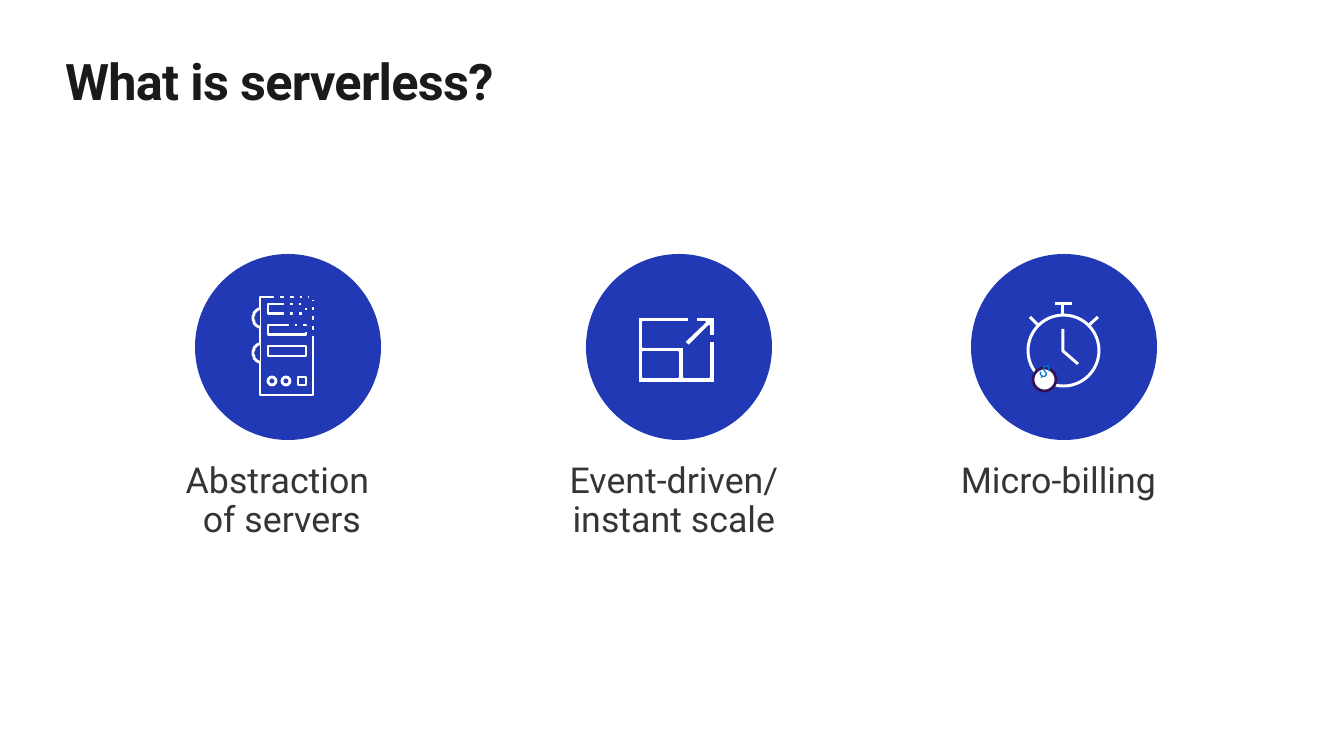
from dataclasses import dataclass
from math import cos, pi, sin

from lxml.etree import SubElement
from pptx import Presentation
from pptx.dml.color import RGBColor
from pptx.enum.shapes import MSO_CONNECTOR, MSO_SHAPE
from pptx.enum.text import MSO_ANCHOR, MSO_AUTO_SIZE, PP_ALIGN
from pptx.oxml.ns import qn
from pptx.util import Emu, Pt

TITLE = "What is serverless?"
TITLE_BOX = (65, 50, 1215, 61)
LABELS = [
    ("Event-driven/ instant scale", (532, 447, 294, 112)),
    ("Micro-billing", (928, 447, 271, 73)),
    ("Abstraction \vof servers", (145, 447, 284, 112)),
]

CIRCLE_TOP, CIRCLE_SIZE = 254, 186
BILLING_LEFT, SCALE_LEFT, SERVER_LEFT = 971, 586, 195

CLOCK_FACE = (1028, 315, 71, 71)
CLOCK_HANDS = [(1063, 329), (1063, 351), (1078, 364)]
CLOCK_LINES = [
    (1055, 304, 1072, 304),
    (1063, 315, 1063, 304),
    (1098, 317, 1088, 326),
    (1030, 317, 1039, 326),
]
COIN = (1033, 368, 23, 23)
DOLLAR_BOX = (1020, 347, 49, 49)

FRAME = [(709, 377), (684, 377), (684, 347), (643, 347), (643, 322), (689, 322),
         (689, 317), (638, 317), (638, 383), (715, 383), (715, 341), (709, 341)]
FRAME_HOLE = [(643, 352), (678, 352), (678, 377), (643, 377)]
ARROW = [(696, 322), (705, 322), (684, 342), (689, 346), (709, 326),
         (709, 336), (715, 336), (715, 317), (696, 317)]

SERVER_BODY = (260, 297, 53, 98)
SLOT_LEFT, SLOT_TOP, SLOT_STEP, SLOT_WIDTH, SLOT_HEIGHT = 268, 304, 21, 38, 10
EAR_MIDDLES = (318, 353)
EAR_WIDTH, EAR_HALF_HEIGHT, EAR_STEPS = 7, 9, 16
BUTTON_TOP, BUTTON_SIZE = 377, 8
BUTTONS = [(268, MSO_SHAPE.OVAL), (282, MSO_SHAPE.OVAL), (298, MSO_SHAPE.RECTANGLE)]
GAP_SIZE = 6
GAPS = [(274, 294), (294, 294), (302, 293), (309, 294), (301, 302), (293, 300),
        (302, 310), (284, 293), (311, 301), (311, 310), (310, 320), (310, 330),
        (293, 311), (297, 323), (302, 326), (289, 323), (284, 300), (284, 312)]


@dataclass(frozen=True)
class Theme:
    font: str = "Roboto"
    blue: str = "2139B5"
    white: str = "FFFFFF"
    purple: str = "32145A"
    sky: str = "0078D7"
    title: str = "1A1A1A"
    body: str = "353535"
    title_size: float = 36
    label_size: float = 25.5
    dollar_size: float = 11.8
    clock_line: float = 2.13
    server_line: float = 2
    frame_line: float = 1.25


THEME = Theme()
SCALE = 914400 / 100.8


def px(length):
    return Emu(round(length * SCALE))


def box_of(box):
    return [px(length) for length in box]


def paint(shape, fill=None, line=None, width=0):
    shape.shadow.inherit = False
    if fill:
        shape.fill.solid()
        shape.fill.fore_color.rgb = RGBColor.from_string(fill)
    else:
        shape.fill.background()
    if line:
        shape.line.color.rgb = RGBColor.from_string(line)
        shape.line.width = Pt(width)
    else:
        shape.line.fill.background()


def add_preset(shapes, kind, box, **style):
    shape = shapes.add_shape(kind, *box_of(box))
    paint(shape, **style)


def add_outline(shapes, contours, close=True, **style):
    builder = shapes.build_freeform(*contours[0][0], scale=SCALE)
    for index, points in enumerate(contours):
        if index:
            builder.move_to(*points[0])
        builder.add_line_segments(points[1:], close=close)
    paint(builder.convert_to_shape(), **style)


def add_line(shapes, ends, color, width):
    connector = shapes.add_connector(MSO_CONNECTOR.STRAIGHT, *box_of(ends))
    connector.line.color.rgb = RGBColor.from_string(color)
    connector.line.width = Pt(width)
    SubElement(connector._element.spPr, qn("a:effectLst"))


def write_text(shape, text, size, color, align=PP_ALIGN.LEFT, bold=False,
               insets=(0, 0, 0, 0), line_spacing=1.0, space_after=0, spacing=None, wrap=True):
    frame = shape.text_frame
    frame.word_wrap = wrap
    frame.auto_size = MSO_AUTO_SIZE.NONE
    frame.vertical_anchor = MSO_ANCHOR.TOP
    frame.margin_left, frame.margin_top, frame.margin_right, frame.margin_bottom = box_of(insets)
    paragraph = frame.paragraphs[0]
    paragraph.text = text
    paragraph.alignment = align
    paragraph.line_spacing = line_spacing
    paragraph.space_before = Pt(0)
    paragraph.space_after = Pt(space_after)
    for run in paragraph.runs:
        run.font.name = THEME.font
        run.font.size = Pt(size)
        run.font.bold = bold
        run.font.color.rgb = RGBColor.from_string(color)
        if spacing is not None:
            run.font._element.set("spc", str(round(spacing * 100)))


def add_icon(slide, left):
    shapes = slide.shapes.add_group_shape().shapes
    add_preset(shapes, MSO_SHAPE.OVAL, (left, CIRCLE_TOP, CIRCLE_SIZE, CIRCLE_SIZE), fill=THEME.blue)
    return shapes


def add_billing_icon(slide):
    shapes = add_icon(slide, BILLING_LEFT)
    stroke = {"line": THEME.white, "width": THEME.clock_line}
    add_preset(shapes, MSO_SHAPE.OVAL, CLOCK_FACE, **stroke)
    add_outline(shapes, [CLOCK_HANDS], close=False, **stroke)
    for ends in CLOCK_LINES:
        add_line(shapes, ends, THEME.white, THEME.clock_line)
    add_preset(shapes, MSO_SHAPE.OVAL, COIN, fill=THEME.white, line=THEME.purple, width=2)
    dollar = shapes.add_textbox(*box_of(DOLLAR_BOX))
    dollar.rotation = 30
    write_text(dollar, "$", THEME.dollar_size, THEME.sky, insets=(20, 16, 20, 16),
               line_spacing=0.9, space_after=5.9, wrap=False)


def add_scale_icon(slide):
    shapes = add_icon(slide, SCALE_LEFT)
    for contours in ([FRAME, FRAME_HOLE], [ARROW]):
        add_outline(shapes, contours, fill=THEME.white, line=THEME.blue, width=THEME.frame_line)


def add_server_icon(slide):
    shapes = add_icon(slide, SERVER_LEFT)
    style = {"fill": THEME.blue, "line": THEME.white, "width": THEME.server_line}
    add_preset(shapes, MSO_SHAPE.RECTANGLE, SERVER_BODY, **style)
    for row in range(3):
        slot = (SLOT_LEFT, SLOT_TOP + row * SLOT_STEP, SLOT_WIDTH, SLOT_HEIGHT)
        add_preset(shapes, MSO_SHAPE.RECTANGLE, slot, **style)
    angles = [pi * step / EAR_STEPS for step in range(EAR_STEPS + 1)]
    for middle in EAR_MIDDLES:
        ear = [(SERVER_BODY[0] - EAR_WIDTH * sin(angle), middle + EAR_HALF_HEIGHT * cos(angle))
               for angle in angles]
        add_outline(shapes, [ear], close=False, **style)
    for left, kind in BUTTONS:
        add_preset(shapes, kind, (left, BUTTON_TOP, BUTTON_SIZE, BUTTON_SIZE), **style)
    for left, top in GAPS:
        add_preset(shapes, MSO_SHAPE.RECTANGLE, (left, top, GAP_SIZE, GAP_SIZE), fill=THEME.blue)


def main():
    presentation = Presentation()
    presentation.slide_width, presentation.slide_height = px(1344), px(756)
    slide = presentation.slides.add_slide(presentation.slide_layouts[5])
    title = slide.shapes.title
    title.left, title.top, title.width, title.height = box_of(TITLE_BOX)
    write_text(title, TITLE, THEME.title_size, THEME.title, bold=True, spacing=-0.5)
    for text, box in LABELS:
        label = slide.shapes.add_textbox(*box_of(box))
        write_text(label, text, THEME.label_size, THEME.body, align=PP_ALIGN.CENTER,
                   insets=(10, 16, 20, 16), line_spacing=0.9, space_after=12)
    add_billing_icon(slide)
    add_scale_icon(slide)
    add_server_icon(slide)
    presentation.save("out.pptx")


if __name__ == "__main__":
    main()
